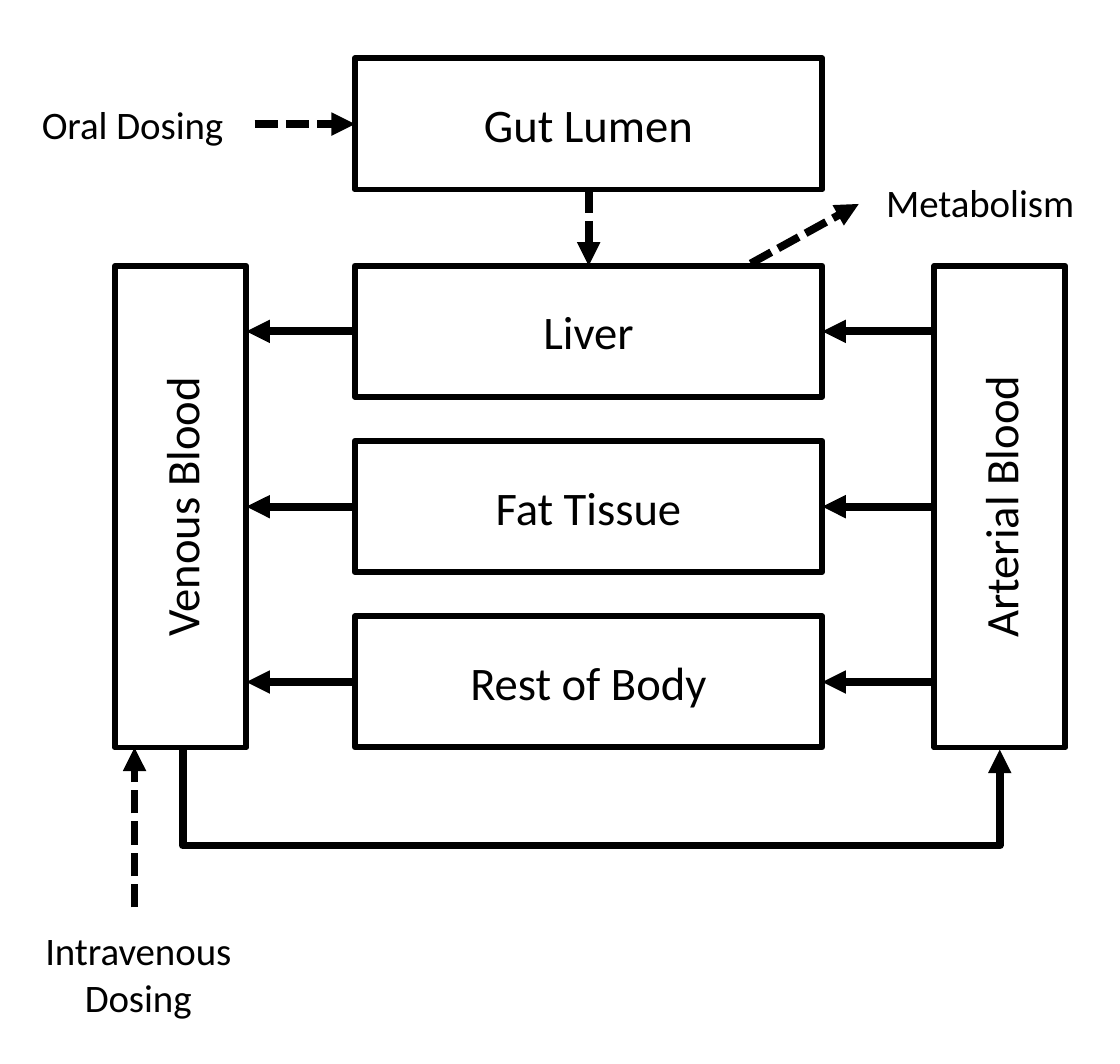
"""Build a slide showing a physiologically based pharmacokinetic model."""
from pptx import Presentation
from pptx import util as u
from pptx.dml.color import RGBColor
from pptx.enum import dml, shapes, text
from pptx.oxml.ns import qn
from lxml import etree

COLORS = {"ink": "000000"}
BOX_LEFT, BOX_WIDTH, BOX_HEIGHT = 3.22, 4.24, 1.19
BOX_RIGHT, BOX_CENTER = BOX_LEFT + BOX_WIDTH, BOX_LEFT + BOX_WIDTH / 2
GUT_TOP, LIVER_TOP, ROW_STEP = 0.53, 2.41, 1.59
BAR_LENGTH, VENOUS_X, ARTERIAL_X = 4.37, 1.64, 9.07
BAR_MIDDLE = LIVER_TOP + ROW_STEP + BOX_HEIGHT / 2
BAR_BOTTOM = BAR_MIDDLE + BAR_LENGTH / 2
TOP, LEFT, BOTTOM, RIGHT = range(4)


class Diagram:
    """Hold the style and the current slide."""

    font = "Calibri"
    ink = RGBColor.from_string(COLORS["ink"])

    def __init__(self, slide):
        self.slide = slide

    def set_text(self, shape, content, size, alignment, frame_format):
        frame = shape.text_frame
        for name, value in frame_format.items():
            setattr(frame, name, value)
        frame.text = content
        font_format = {"name": self.font, "size": u.Pt(size)}
        for paragraph in frame.paragraphs:
            paragraph.alignment = alignment
            for run in paragraph.runs:
                for name, value in font_format.items():
                    setattr(run.font, name, value)
                run.font.color.rgb = self.ink

    def box(self, content, left, top, width=BOX_WIDTH, rotation=0):
        shape = self.slide.shapes.add_shape(
            shapes.MSO_SHAPE.RECTANGLE, u.Cm(left), u.Cm(top), u.Cm(width), u.Cm(BOX_HEIGHT))
        shape.rotation = rotation
        shape.shadow.inherit = False
        shape.fill.background()
        shape.line.color.rgb = self.ink
        shape.line.width = u.Pt(1.5)
        self.set_text(shape, content, 12, text.PP_ALIGN.CENTER, {
            "word_wrap": True, "vertical_anchor": text.MSO_ANCHOR.MIDDLE,
            "margin_left": u.Cm(0.18), "margin_right": u.Cm(0.18),
            "margin_top": u.Cm(0.09), "margin_bottom": u.Cm(0.09)})
        return shape

    def bar(self, content, center):
        return self.box(content, center - BAR_LENGTH / 2, BAR_MIDDLE - BOX_HEIGHT / 2, BAR_LENGTH, 270)

    def label(self, content, left, top, width, height, alignment=text.PP_ALIGN.LEFT):
        shape = self.slide.shapes.add_textbox(u.Cm(left), u.Cm(top), u.Cm(width), u.Cm(height))
        self.set_text(shape, content, 10, alignment, {
            "word_wrap": False, "auto_size": text.MSO_AUTO_SIZE.SHAPE_TO_FIT_TEXT})

    def arrow(self, start, end, dashed=False, begin=None, finish=None, kind=shapes.MSO_CONNECTOR.STRAIGHT):
        points = [u.Cm(value) for value in (*start, *end)]
        connector = self.slide.shapes.add_connector(kind, *points)
        if begin:
            connector.begin_connect(*begin)
        if finish:
            connector.end_connect(*finish)
        for name, value in zip(("begin_x", "begin_y", "end_x", "end_y"), points):
            setattr(connector, name, value)
        connector.line.color.rgb = self.ink
        connector.line.width = u.Pt(2)
        if dashed:
            connector.line.dash_style = dml.MSO_LINE.SQUARE_DOT
        properties = connector._element.spPr
        etree.SubElement(properties.find(qn("a:ln")), qn("a:tailEnd"), type="triangle")
        etree.SubElement(properties, qn("a:effectLst"))
        return connector

    def return_arrow(self, start_x, end_x, y, drop, rise=0.04):
        """Draw an elbow that drops below both ends, as a sideways connector."""
        center, half = (start_x + end_x) / 2, (end_x - start_x) / 2
        connector = self.arrow((center + rise / 2, y - half), (center - rise / 2, y + half),
                               kind=shapes.MSO_CONNECTOR.ELBOW)
        properties = connector._element.spPr
        properties.find(qn("a:xfrm")).set("rot", str(270 * 60000))
        guides = properties.find(qn("a:prstGeom")).get_or_add_avLst()
        etree.SubElement(guides, qn("a:gd"), name="adj1", fmla=f"val {round(drop / rise * 100000)}")


def main():
    presentation = Presentation()
    presentation.slide_width, presentation.slide_height = u.Cm(10.16), u.Cm(9.65)
    diagram = Diagram(presentation.slides.add_slide(presentation.slide_layouts[6]))

    gut = diagram.box("Gut Lumen", BOX_LEFT, GUT_TOP)
    venous = diagram.bar("Venous Blood", VENOUS_X)
    arterial = diagram.bar("Arterial Blood", ARTERIAL_X)
    venous_side, arterial_side = VENOUS_X + BOX_HEIGHT / 2, ARTERIAL_X - BOX_HEIGHT / 2

    tissues = []
    for row, name in enumerate(("Liver", "Fat Tissue", "Rest of Body")):
        top = LIVER_TOP + row * ROW_STEP
        middle = top + BOX_HEIGHT / 2
        tissue = diagram.box(name, BOX_LEFT, top)
        tissues.append(tissue)
        central = row == 1
        diagram.arrow((arterial_side, middle), (BOX_RIGHT, middle),
                      begin=(arterial, TOP) if central else None, finish=(tissue, RIGHT))
        diagram.arrow((BOX_LEFT, middle), (venous_side, middle),
                      begin=(tissue, LEFT), finish=(venous, BOTTOM) if central else None)

    gut_middle = GUT_TOP + BOX_HEIGHT / 2
    diagram.arrow((2.31, gut_middle), (BOX_LEFT, gut_middle), True, finish=(gut, LEFT))
    diagram.arrow((BOX_CENTER, GUT_TOP + BOX_HEIGHT), (BOX_CENTER, LIVER_TOP), True,
                  begin=(gut, BOTTOM), finish=(tissues[0], TOP))
    diagram.arrow((6.81, 2.39), (7.79, 1.85), True)
    diagram.arrow((1.22, 8.23), (1.22, BAR_BOTTOM), True)
    diagram.return_arrow(VENOUS_X + 0.02, ARTERIAL_X, BAR_BOTTOM, 0.91)

    diagram.label("Oral Dosing", 0.13, 0.79, 2.18, 0.68)
    diagram.label("Metabolism", 7.79, 1.5, 2.24, 0.68)
    diagram.label("Intravenous\nDosing", 0.14, 8.28, 2.23, 1.12, text.PP_ALIGN.CENTER)
    presentation.save("out.pptx")


if __name__ == "__main__":
    main()
